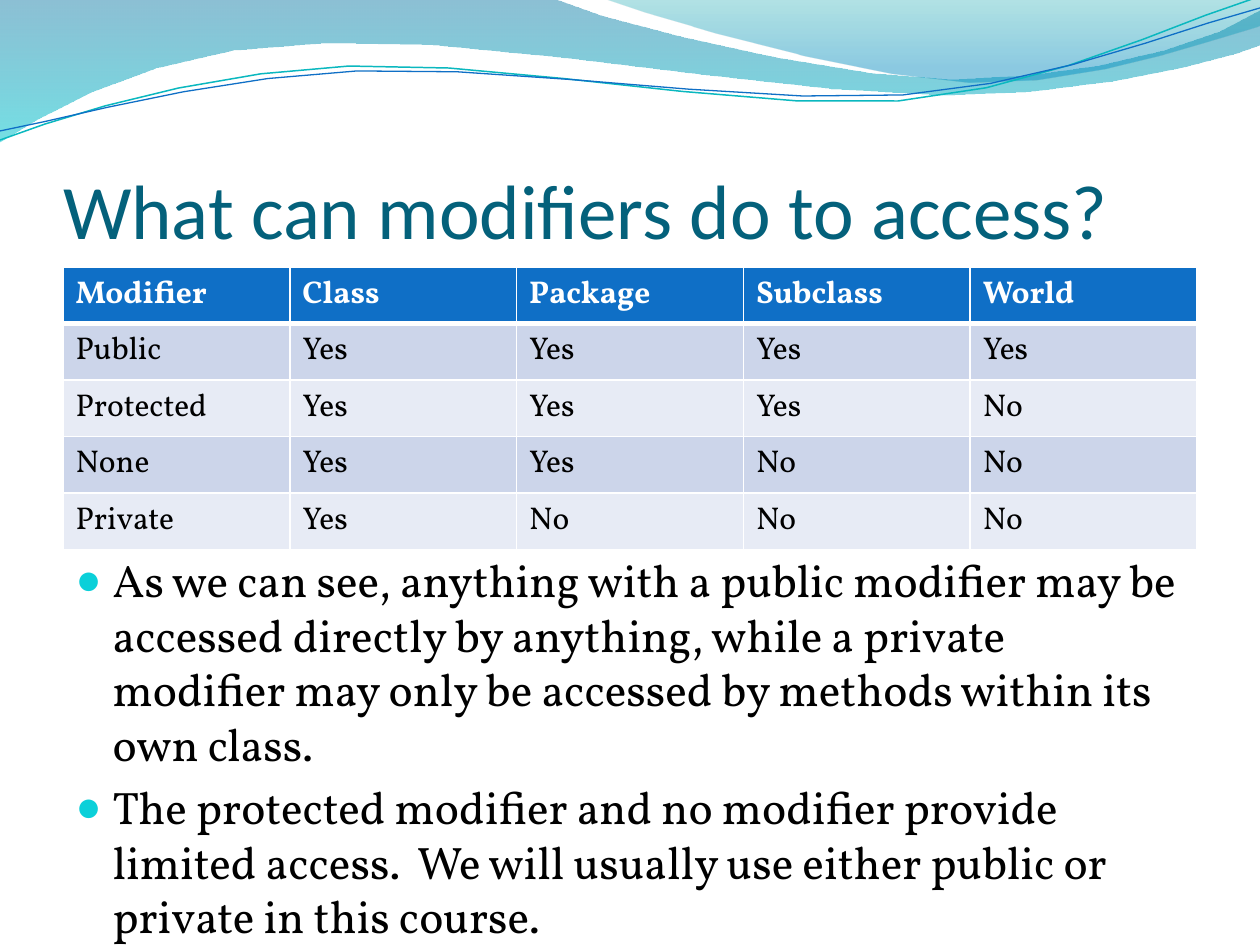
from lxml import etree
from pptx import Presentation
from pptx.dml.color import RGBColor
from pptx.enum.text import MSO_ANCHOR, MSO_AUTO_SIZE, PP_ALIGN
from pptx.oxml.ns import qn
from pptx.util import Emu, Pt

EMU_PER_PX = 914400 / 126
CURVE_STEPS = 5


def px(length):
    return Emu(round(length * EMU_PER_PX))


def rgb(color):
    return RGBColor.from_string(color)


def sub(parent, tag, **attributes):
    return etree.SubElement(parent, qn(tag), attributes)


def trace(start, curves):
    """Sample a chain of cubic curves as points."""
    points = [start]
    for curve in curves:
        knots = [points[-1], *curve]
        for step in range(1, CURVE_STEPS + 1):
            t = step / CURVE_STEPS
            weights = ((1 - t) ** 3, 3 * t * (1 - t) ** 2, 3 * t * t * (1 - t), t ** 3)
            points.append(tuple(sum(w * k[axis] for w, k in zip(weights, knots))
                                for axis in (0, 1)))
    return points


class Deck:
    HEADING, BODY = "Calibri", "Vollkorn"
    TEAL, BLUE, AQUA, WHITE, BLACK = "04617B", "0F6FC6", "0BD0D9", "FFFFFF", "000000"
    BANDS = ("CCD5EA", "E7EBF5")

    def __init__(self):
        self.prs = Presentation()
        self.prs.slide_width, self.prs.slide_height = px(1260), px(945)
        self.slide = self.prs.slides.add_slide(self.prs.slide_layouts[1])

    def style(self, paragraph, text, size, font, color, bold=False):
        run = paragraph.add_run()
        run.text = text
        run.font.size, run.font.name, run.font.bold = Pt(size), font, bold
        run.font.color.rgb = rgb(color)

    def place(self, shape, left, top, width, height):
        shape.left, shape.top, shape.width, shape.height = map(
            px, (left, top, width, height))
        shape.text_frame.word_wrap = True
        shape.text_frame.auto_size = MSO_AUTO_SIZE.NONE
        return shape.text_frame

    def freeform(self, points, closed):
        corners = [(px(x), px(y)) for x, y in points]
        builder = self.slide.shapes.build_freeform(*corners[0], scale=1.0)
        builder.add_line_segments(corners[1:], close=closed)
        shape = builder.convert_to_shape()
        shape.shadow.inherit = False
        return shape

    def wave(self, points, stops):
        shape = self.freeform(points, True)
        shape.line.fill.background()
        shape.fill.gradient()
        shape.fill.gradient_angle = 270
        for stop, (position, color, _) in zip(shape.fill.gradient_stops, stops):
            stop.position = position
            stop.color.rgb = rgb(color)
        colors = shape._element.spPr.iter(qn("a:srgbClr"))
        for element, (_, _, opacity) in zip(colors, stops):
            sub(element, "a:alpha", val=str(opacity * 1000))

    def strand(self, points, color, width):
        shape = self.freeform(points, False)
        shape.fill.background()
        shape.line.color.rgb = rgb(color)
        shape.line.width = Pt(width)

    def title(self, text, *box):
        frame = self.place(self.slide.shapes.title, *box)
        frame.margin_left = frame.margin_right = frame.margin_bottom = 0
        frame.vertical_anchor = MSO_ANCHOR.BOTTOM
        frame.paragraphs[0].alignment = PP_ALIGN.LEFT
        self.style(frame.paragraphs[0], text, 44, self.HEADING, self.TEAL)

    def bullets(self, items, *box):
        frame = self.place(self.slide.placeholders[1], *box)
        frame.vertical_anchor = MSO_ANCHOR.TOP
        for index, item in enumerate(items):
            paragraph = frame.add_paragraph() if index else frame.paragraphs[0]
            self.style(paragraph, item, 26, self.BODY, self.BLACK)
            paragraph.space_before = Pt(5)
            paragraph.line_spacing = 1.0
            props = paragraph._p.get_or_add_pPr()
            props.set("marL", str(px(37)))
            props.set("indent", str(px(-37)))
            sub(sub(props, "a:buClr"), "a:srgbClr", val=self.AQUA)
            sub(props, "a:buSzPct", val="95000")
            sub(props, "a:buFont", typeface="Arial")
            sub(props, "a:buChar", char="●")

    def border(self, cell, side, width):
        line = sub(cell._tc.get_or_add_tcPr(), "a:ln" + side, w=str(Pt(width)))
        sub(sub(line, "a:solidFill"), "a:srgbClr", val=self.WHITE)

    def table(self, rows, *box):
        frame = self.slide.shapes.add_table(len(rows), len(rows[0]), *map(px, box))
        for r, row in enumerate(rows):
            header = r == 0
            for c, text in enumerate(row):
                cell = frame.table.cell(r, c)
                for side in "LRTB":
                    thick = (header and side == "B") or (r == 1 and side == "T")
                    self.border(cell, side, 3 if thick else 1)
                cell.fill.solid()
                cell.fill.fore_color.rgb = rgb(self.BLUE if header else self.BANDS[(r - 1) % 2])
                self.style(cell.text_frame.paragraphs[0], text, 18, self.BODY,
                           self.WHITE if header else self.BLACK, header)


deck = Deck()

# Waves along the top edge
upper_edge = trace((554, -1), [((600, 21), (837, 79), (955, 79)),
                               ((1075, 79), (1207, 47), (1260, 11))])
lower_edge = trace((1261, 45), [((1239, 55), (1096, 96), (940, 95)),
                                ((784, 95), (481, 35), (324, 43)),
                                ((163, 45), (58, 105), (-1, 142))])
deck.wave([(0, 0)] + upper_edge + lower_edge,
          [(0, "0074A1", 45), (1, "00C6CF", 55)])
deck.wave(trace((604, -1), [((641, 14), (859, 78), (969, 82)),
                            ((1079, 87), (1211, 40), (1260, 26))]) + [(1260, 0)],
          [(0, "00A1A9", 30), (0.8, "008BBF", 45)])

# Thin strands
deck.strand(trace((0, 140), [((60, 117), (199, 72), (349, 66)),
                             ((498, 59), (747, 112), (898, 101)),
                             ((1050, 89), (1182, 19), (1258, -3))]), "0AB8BF", 0.85)
deck.strand(trace((0, 131), [((59, 121), (207, 77), (357, 71)),
                             ((508, 64), (752, 106), (903, 95)),
                             ((1053, 84), (1186, 26), (1260, 8))]), deck.BLUE, 0.75)

# Title, access table and conclusions
deck.title("What can modifiers do to access?", 63, 97, 1134, 158)
deck.table([
    ("Modifier", "Class", "Package", "Subclass", "World"),
    ("Public", "Yes", "Yes", "Yes", "Yes"),
    ("Protected", "Yes", "Yes", "Yes", "No"),
    ("None", "Yes", "Yes", "No", "No"),
    ("Private", "Yes", "No", "No", "No"),
], 63, 267, 1134, 256)
deck.bullets([
    "As we can see, anything with a public modifier may be accessed directly by anything, "
    "while a private modifier may only be accessed by methods within its own class.",
    "The protected modifier and no modifier provide limited access.  We will usually use "
    "either public or private in this course.",
], 63, 546, 1134, 325)

deck.prs.save("out.pptx")
